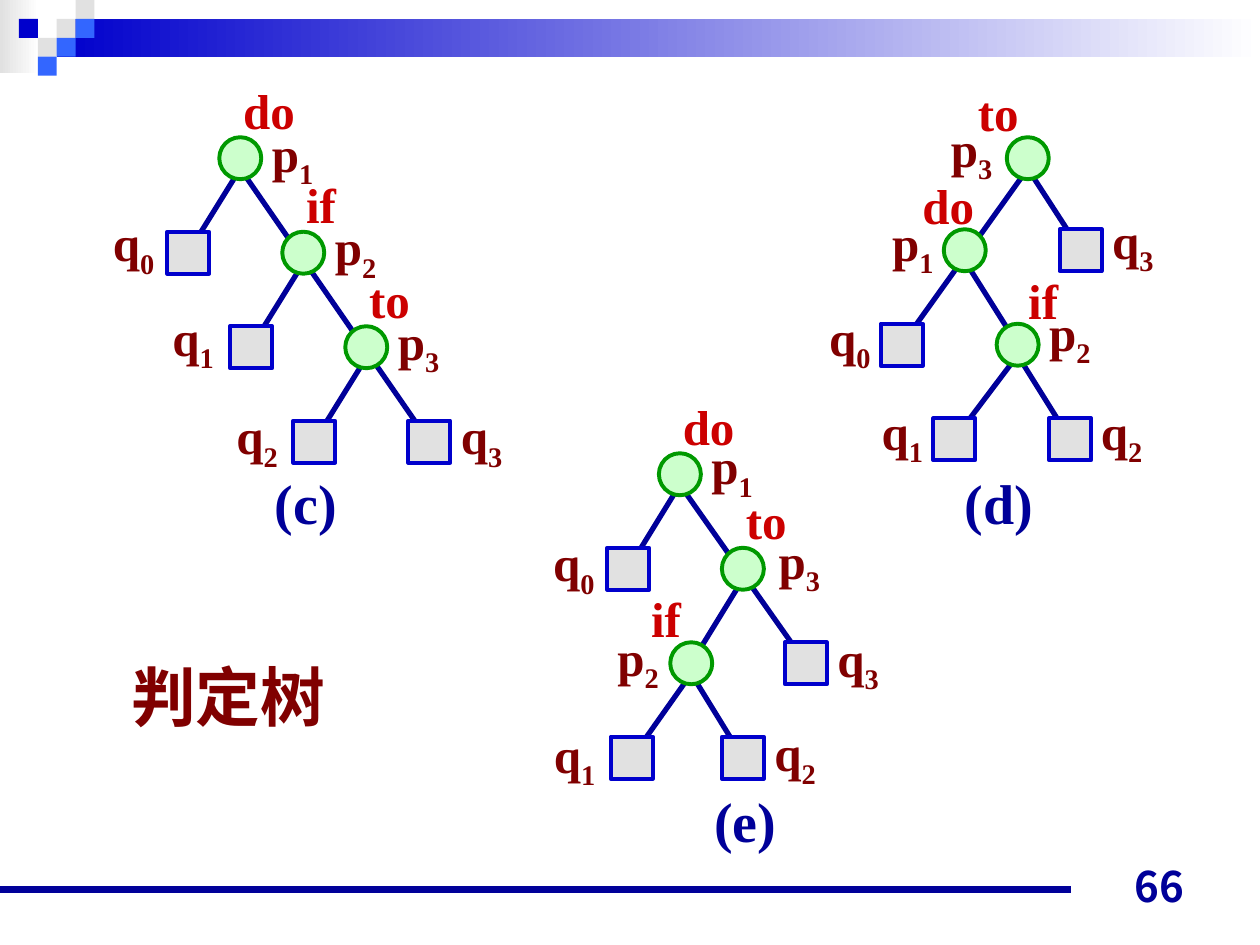
"""Build a slide with three decision trees over the keys do, if and to."""
from dataclasses import dataclass
from typing import Optional

from lxml.etree import SubElement
from pptx import Presentation
from pptx.dml.color import RGBColor
from pptx.enum.shapes import MSO_CONNECTOR, MSO_SHAPE
from pptx.enum.text import MSO_ANCHOR, MSO_AUTO_SIZE, PP_ALIGN
from pptx.oxml.ns import qn
from pptx.util import Pt

Point = tuple[float, float]


@dataclass(frozen=True)
class Theme:
    navy: str = "000099"
    blue: str = "0000CC"
    sky: str = "3366FF"
    grey: str = "E1E1E1"
    white: str = "FFFFFF"
    green: str = "009900"
    mint: str = "CCFFCC"
    red: str = "CC0000"
    maroon: str = "800000"
    serif: str = "Times New Roman"
    sans: str = "Arial"
    number_font: str = "Noto Sans CJK JP"
    title_size: float = 37
    caption_size: float = 32
    label_size: float = 28
    number_size: float = 24
    edge_width: float = 3
    node_width: float = 2.25
    rule_width: float = 4.5


@dataclass(frozen=True)
class Node:
    """A tree node: centre, and text offsets measured from that centre."""
    center: Point
    label_offset: Point
    word: Optional[str] = None
    word_offset: Point = (-5.4, -48)


@dataclass(frozen=True)
class Tree:
    """A tree whose edges may run straight through an intermediate node."""
    caption: str
    caption_box: tuple[float, float, float]
    nodes: dict[str, Node]
    edges: tuple[tuple[str, str], ...]


THEME = Theme()
NODE_SIZE = 24
EDGE_DROP = 6
SQUARE = 10.8
WORD_WIDTHS = {"do": 44, "if": 31.7, "to": 37.7}
MOSAIC = [(3, 1, THEME.grey), (4, 0, THEME.grey), (4, 1, THEME.sky),
          (2, 2, THEME.grey), (1, 1, THEME.blue), (3, 2, THEME.sky),
          (2, 3, THEME.sky)]

TREES = [
    Tree("(c)", (149.8, 264.2, 50), {
        "p1": Node((137.3, 90.4), (11, -23.4), "do"),
        "p2": Node((173.3, 144.4), (11, -24), "if"),
        "p3": Node((209.3, 198.4), (11, -24), "to"),
        "q0": Node((107.5, 144.4), (-50, -26.3)),
        "q1": Node((143.5, 198.4), (-52, -26.3)),
        "q2": Node((179.5, 252.4), (-51.5, -24)),
        "q3": Node((245.3, 252.4), (11, -24)),
    }, (("p1", "q0"), ("p2", "q1"), ("p3", "q2"), ("p1", "q3"))),
    Tree("(d)", (544.3, 264.2, 53.6), {
        "p3": Node((587.3, 90.4), (-51, -26.3), "to", (-35.6, -47)),
        "p1": Node((551.3, 143), (-48.6, -25), "do", (-31.3, -46.4)),
        "p2": Node((581.5, 197), (11, -27.7), "if", (-1, -45.7)),
        "q3": Node((617.5, 143), (11, -26.3)),
        "q0": Node((515.3, 197), (-48.6, -25)),
        "q1": Node((545.3, 251), (-48.6, -25)),
        "q2": Node((611.5, 251), (10.5, -25)),
    }, (("p3", "q3"), ("p1", "p2"), ("p2", "q2"), ("p3", "q0"), ("p2", "q1"))),
    Tree("(e)", (401, 445.7, 50), {
        "p1": Node((388.5, 271), (11, -25.5), "do"),
        "p3": Node((424.5, 325), (13.3, -25.5), "to"),
        "p2": Node((395, 379), (-49.3, -24), "if", (-30, -46.4)),
        "q0": Node((359, 325), (-50, -24)),
        "q3": Node((460.5, 379), (11, -23.4)),
        "q1": Node((361, 433), (-51.5, -22.7)),
        "q2": Node((424.5, 433), (11, -23.4)),
    }, (("p2", "q2"), ("p1", "q0"), ("p3", "p2"), ("p2", "q1"), ("p1", "q3"))),
]


def rgb(color: str) -> RGBColor:
    return RGBColor.from_string(color)


def format_font(font, name: str, size: float, color: str) -> None:
    font.name, font.size, font.bold = name, Pt(size), True
    font.color.rgb = rgb(color)


def add_text(slide, text: str, left: float, top: float, width: float, height: float,
             size: float, color: str, font_name: str = THEME.serif,
             subscript: str = ""):
    shape = slide.shapes.add_textbox(Pt(left), Pt(top), Pt(width), Pt(height))
    frame = shape.text_frame
    frame.word_wrap, frame.auto_size = False, MSO_AUTO_SIZE.SHAPE_TO_FIT_TEXT
    paragraph = frame.paragraphs[0]
    paragraph.text = text
    if subscript:
        run = paragraph.add_run()
        run.text = subscript
        run._r.get_or_add_rPr().set("baseline", "-25000")
    for run in paragraph.runs:
        format_font(run.font, font_name, size, color)
    return shape


def add_line(slide, start: Point, end: Point, width: float) -> None:
    line = slide.shapes.add_connector(
        MSO_CONNECTOR.STRAIGHT, *(Pt(value) for value in (*start, *end)))
    line.line.color.rgb = rgb(THEME.navy)
    line.line.width = Pt(width)
    SubElement(line._element.spPr, qn("a:effectLst"))


def add_block(slide, left: float, top: float, width: float, height: float,
              color: str, fade: bool = False) -> None:
    shape = slide.shapes.add_shape(
        MSO_SHAPE.RECTANGLE, Pt(left), Pt(top), Pt(width), Pt(height))
    shape.shadow.inherit = False
    shape.line.fill.background()
    if fade:
        shape.fill.gradient()
        shape.fill.gradient_angle = 0
        for stop, stop_color in zip(shape.fill.gradient_stops, (color, THEME.white)):
            stop.color.rgb = rgb(stop_color)
    else:
        shape.fill.solid()
        shape.fill.fore_color.rgb = rgb(color)


def add_node(slide, name: str, node: Node) -> None:
    x, y = node.center
    inner = name.startswith("p")
    shape = slide.shapes.add_shape(
        MSO_SHAPE.OVAL if inner else MSO_SHAPE.RECTANGLE,
        Pt(x - NODE_SIZE / 2), Pt(y - NODE_SIZE / 2), Pt(NODE_SIZE), Pt(NODE_SIZE))
    shape.shadow.inherit = False
    shape.fill.solid()
    shape.fill.fore_color.rgb = rgb(THEME.mint if inner else THEME.grey)
    shape.line.color.rgb = rgb(THEME.green if inner else THEME.blue)
    shape.line.width = Pt(THEME.node_width)


def add_node_text(slide, name: str, node: Node) -> None:
    x, y = node.center
    dx, dy = node.label_offset
    add_text(slide, name[0], x + dx, y + dy, 38.2, 45.4, THEME.label_size,
             THEME.maroon, subscript=name[1])
    if node.word:
        dx, dy = node.word_offset
        add_text(slide, node.word, x + dx, y + dy, WORD_WIDTHS[node.word], 41,
                 THEME.label_size, THEME.red)


def add_tree(slide, tree: Tree) -> None:
    for parent, child in tree.edges:
        x, y = tree.nodes[parent].center
        add_line(slide, (x, y + EDGE_DROP), tree.nodes[child].center, THEME.edge_width)
    for draw in (add_node, add_node_text):
        for name, node in tree.nodes.items():
            draw(slide, name, node)
    left, top, width = tree.caption_box
    add_text(slide, tree.caption, left, top, width, 46, THEME.caption_size, THEME.navy)


def add_frame(slide) -> None:
    add_block(slide, 0, 0, 22.3, 41.8, THEME.grey, fade=True)
    add_block(slide, 3 * SQUARE, SQUARE, 687.6, 2 * SQUARE, THEME.blue, fade=True)
    for column, row, color in MOSAIC:
        add_block(slide, column * SQUARE, row * SQUARE, SQUARE, SQUARE, color)
    add_line(slide, (0, 508.3), (612, 508.3), THEME.rule_width)
    number = add_text(slide, "66", 516.2, 488.2, 167.8, 36, THEME.number_size,
                      THEME.navy, THEME.number_font)
    frame = number.text_frame
    frame.word_wrap, frame.auto_size = True, MSO_AUTO_SIZE.NONE
    frame.vertical_anchor = MSO_ANCHOR.BOTTOM
    frame.paragraphs[0].alignment = PP_ALIGN.RIGHT


def set_title(slide, text: str) -> None:
    title = slide.shapes.title
    title.left, title.top, title.width, title.height = map(Pt, (67.7, 371.5, 190, 54))
    frame = title.text_frame
    frame.text = text
    frame.auto_size, frame.vertical_anchor = MSO_AUTO_SIZE.NONE, MSO_ANCHOR.TOP
    paragraph = frame.paragraphs[0]
    paragraph.alignment = PP_ALIGN.LEFT
    format_font(paragraph.runs[0].font, THEME.sans, THEME.title_size, THEME.maroon)


def main() -> None:
    presentation = Presentation()
    presentation.slide_width, presentation.slide_height = Pt(720), Pt(540)
    slide = presentation.slides.add_slide(presentation.slide_layouts[5])
    add_frame(slide)
    set_title(slide, "判定树")
    for tree in TREES:
        add_tree(slide, tree)
    presentation.save("out.pptx")


if __name__ == "__main__":
    main()
